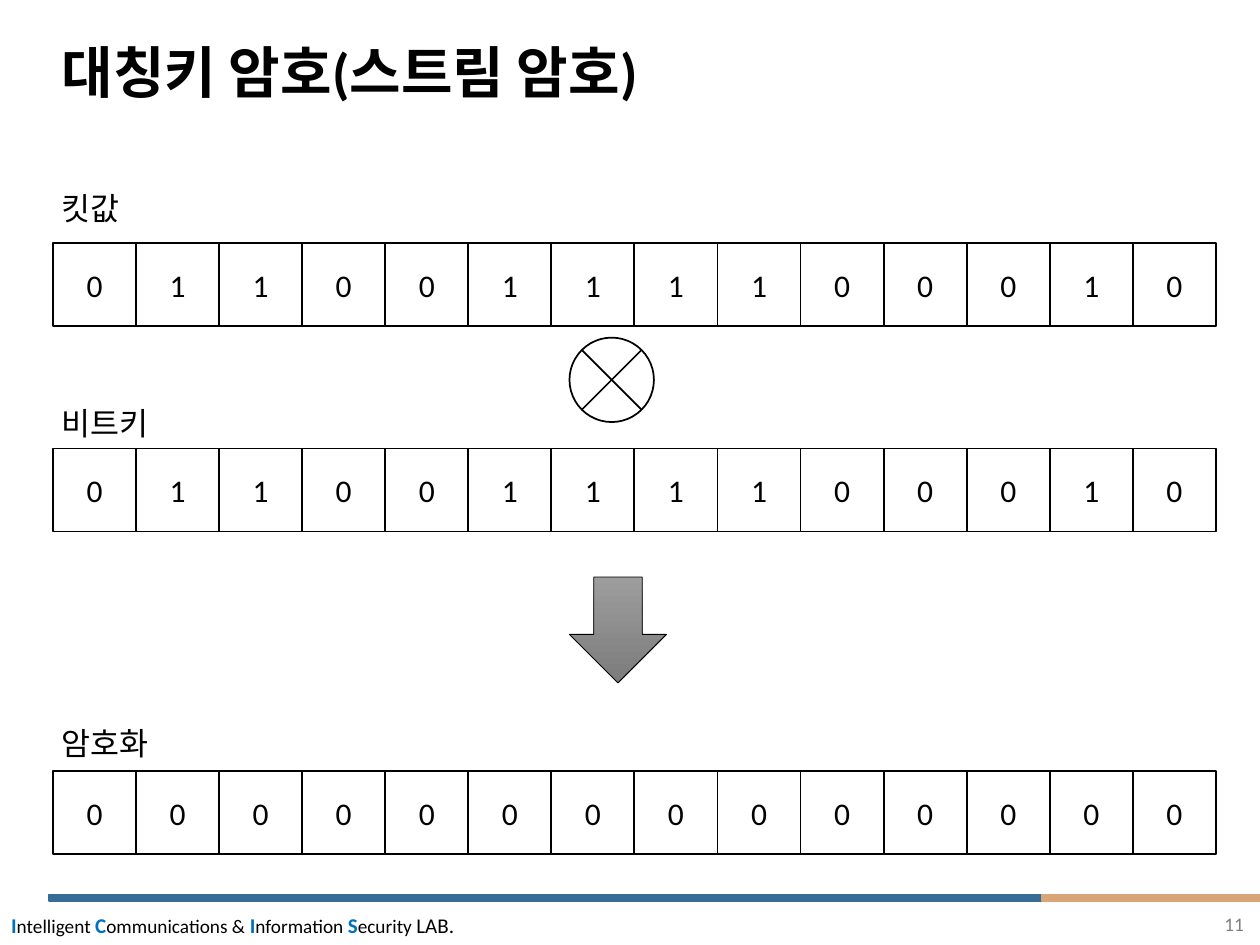
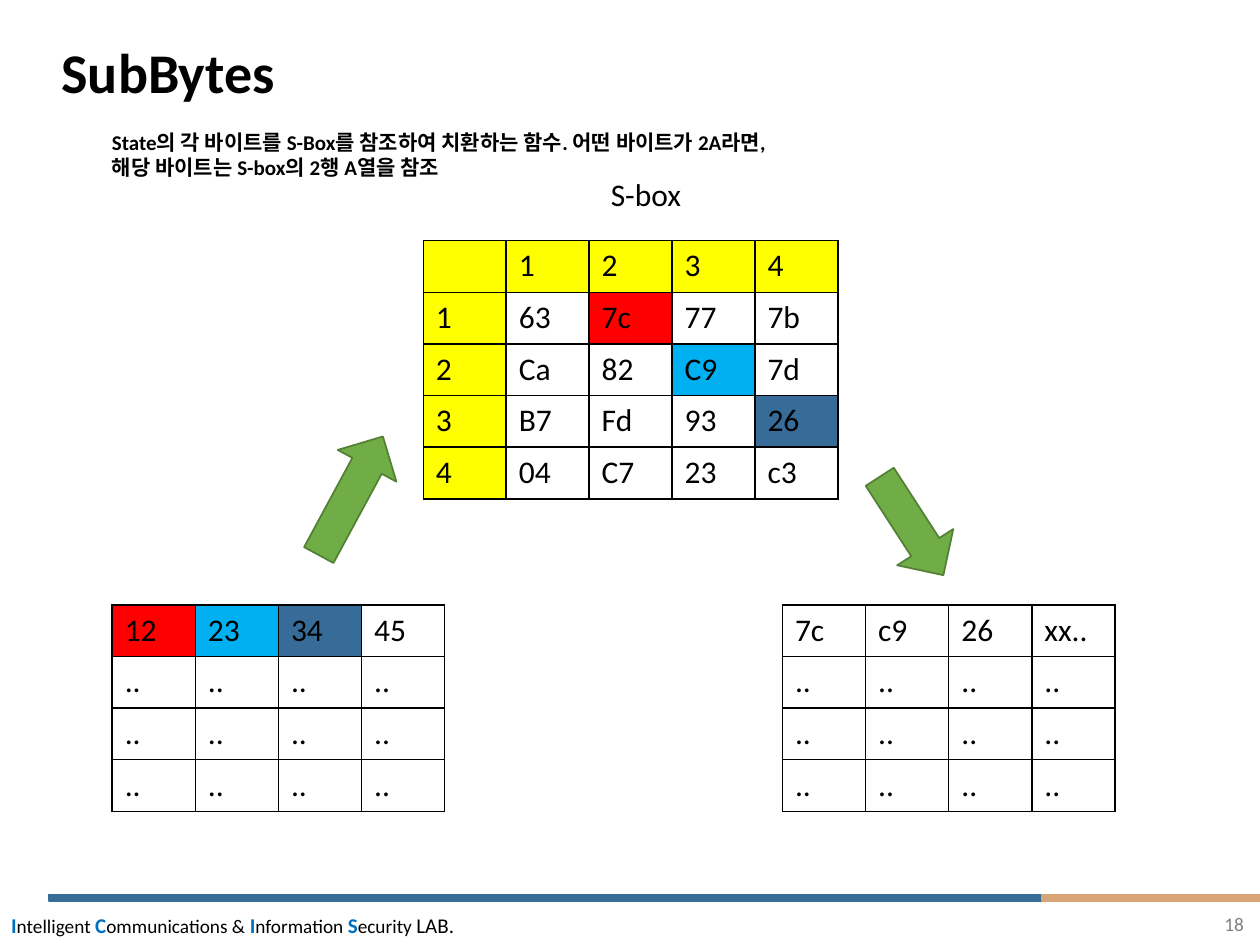
from lxml.etree import SubElement
from pptx import Presentation
from pptx.dml.color import RGBColor
from pptx.enum.shapes import MSO_SHAPE
from pptx.enum.text import MSO_ANCHOR, MSO_AUTO_SIZE, PP_ALIGN
from pptx.oxml.ns import qn
from pptx.util import Inches, Pt

COLORS = {
    "black": "000000", "white": "FFFFFF", "gray": "808080",
    "navy": "376C98", "tan": "D9A576", "initial": "0070C0",
    "yellow": "FFFF00", "red": "FF0000", "sky": "00B0F0",
    "green": "70AD47", "dark_green": "538035",
    "arrow_top": "9D9D9D", "arrow_bottom": "7C7C7C",
}
FONT = "Calibri"


def write(frame, text, size=18, color="black", bold=False, align=None,
          anchor=None, wrap=True, spacing=None, new_paragraph=False):
    frame.word_wrap = wrap
    if not wrap:
        frame.auto_size = MSO_AUTO_SIZE.SHAPE_TO_FIT_TEXT
    if anchor is not None:
        frame.vertical_anchor = anchor
    paragraph = frame.add_paragraph() if new_paragraph else frame.paragraphs[0]
    if align is not None:
        paragraph.alignment = align
    if spacing is not None:
        paragraph.line_spacing = spacing
    run = paragraph.add_run()
    run.text = text
    run.font.name = FONT
    run.font.size = Pt(size)
    run.font.bold = bold
    run.font.color.rgb = RGBColor.from_string(COLORS[color])


def draw(slide, kind, box, fill, line, width=1, rotation=0):
    shape = slide.shapes.add_shape(kind, *map(Inches, box))
    shape.shadow.inherit = False
    shape.fill.solid()
    shape.fill.fore_color.rgb = RGBColor.from_string(COLORS[fill])
    shape.line.color.rgb = RGBColor.from_string(COLORS[line])
    shape.line.width = Pt(width)
    shape.rotation = rotation
    return shape


deck = Presentation()
deck.slide_width, deck.slide_height = Inches(10), Inches(7.5)

lab_words = [("I", "ntelligent "), ("C", "ommunications & "),
             ("I", "nformation "), ("S", "ecurity ")]
pages = []
for heading, number in [("대칭키 암호(스트림 암호)", "11"), ("SubBytes", "18")]:
    page = deck.slides.add_slide(deck.slide_layouts[6])
    pages.append(page)
    for left, width, color in [(0.39, 7.93, "navy"), (8.27, 1.73, "tan")]:
        draw(page, MSO_SHAPE.RECTANGLE, (left, 7.1, width, 0.05), color, color)

    lab = page.shapes.add_textbox(*map(Inches, (-0.01, 7.19, 3.74, 0.3))).text_frame
    for initial, rest in lab_words:
        write(lab, initial, size=12, color="initial", bold=True, wrap=False)
        write(lab, rest, size=11, wrap=False)
    write(lab, "LAB.", size=12, wrap=False)

    title = page.shapes.add_textbox(*map(Inches, (0.39, 0.2, 9.21, 0.79))).text_frame
    write(title, heading, size=32, bold=True, anchor=MSO_ANCHOR.MIDDLE, spacing=0.9)
    page_number = page.shapes.add_textbox(*map(Inches, (7.72, 7.19, 2.25, 0.4))).text_frame
    write(page_number, number, size=11, color="gray", align=PP_ALIGN.RIGHT)

stream, sub_bytes = pages

key_bits = "01100111100010"
bit_size = 9.23 / len(key_bits)
bit_rows = [
    ("킷값", 1.45, 0.71, 1.93, key_bits),
    ("비트키", 3.16, 0.96, 3.56, key_bits),
    ("암호화", 5.7, 0.96, 6.12, "0" * len(key_bits)),
]
for caption, caption_top, caption_width, top, bits in bit_rows:
    caption_box = (0.39, caption_top, caption_width, 0.4)
    write(stream.shapes.add_textbox(*map(Inches, caption_box)).text_frame,
          caption, wrap=False)
    for index, bit in enumerate(bits):
        bit_box = (0.42 + index * bit_size, top, bit_size, bit_size)
        cell = draw(stream, MSO_SHAPE.RECTANGLE, bit_box, "white", "black")
        write(cell.text_frame, bit, align=PP_ALIGN.CENTER, anchor=MSO_ANCHOR.MIDDLE)

draw(stream, MSO_SHAPE.FLOWCHART_SUMMING_JUNCTION, (4.52, 2.68, 0.67, 0.67),
     "white", "black")
encrypt = draw(stream, MSO_SHAPE.DOWN_ARROW, (4.52, 4.58, 0.77, 0.84),
               "gray", "black", width=0.5)
encrypt.fill.gradient()
encrypt.fill.gradient_angle = 270
for stop, color in zip(encrypt.fill.gradient_stops, ("arrow_top", "arrow_bottom")):
    stop.color.rgb = RGBColor.from_string(COLORS[color])

summary = sub_bytes.shapes.add_textbox(*map(Inches, (0.79, 0.98, 5.78, 0.5))).text_frame
write(summary, "State의 각 바이트를 S-Box를 참조하여 치환하는 함수. 어떤 바이트가 2A라면,",
      size=12, bold=True, wrap=False)
write(summary, "해당 바이트는 S-box의 2행 A열을 참조",
      size=12, bold=True, wrap=False, new_paragraph=True)
write(sub_bytes.shapes.add_textbox(*map(Inches, (4.75, 1.34, 0.77, 0.4))).text_frame,
      "S-box", wrap=False)

s_box = [["", "1", "2", "3", "4"],
         ["1", "63", "7c", "77", "7b"],
         ["2", "Ca", "82", "C9", "7d"],
         ["3", "B7", "Fd", "93", "26"],
         ["4", "04", "C7", "23", "c3"]]
s_box_fills = {(i, j): "yellow" for i in range(5) for j in range(5) if 0 in (i, j)}
s_box_fills.update({(1, 2): "red", (2, 3): "sky", (3, 4): "navy"})
unknown = [[".."] * 4] * 3
state = [["12", "23", "34", "45"]] + unknown
state_fills = {(0, 0): "red", (0, 1): "sky", (0, 2): "navy"}
substituted = [["7c", "c9", "26", "xx.."]] + unknown

for left, top, width, values, fills in [
    (3.36, 1.91, 3.29, s_box, s_box_fills),
    (0.89, 4.8, 2.64, state, state_fills),
    (6.21, 4.8, 2.64, substituted, {}),
]:
    count = len(values)
    grid = sub_bytes.shapes.add_table(
        count, count, Inches(left), Inches(top),
        Inches(width), Inches(0.41 * count)).table
    grid.first_row = grid.horz_banding = False
    for i, row in enumerate(values):
        for j, value in enumerate(row):
            cell = grid.cell(i, j)
            properties = cell._tc.get_or_add_tcPr()
            for side in ("lnL", "lnR", "lnT", "lnB"):
                border = SubElement(properties, qn(f"a:{side}"), w=str(Pt(1)))
                solid = SubElement(border, qn("a:solidFill"))
                SubElement(solid, qn("a:srgbClr"), val=COLORS["black"])
            cell.fill.solid()
            cell.fill.fore_color.rgb = RGBColor.from_string(
                COLORS[fills.get((i, j), "white")])
            if value:
                write(cell.text_frame, value)

for kind, box, rotation in [
    (MSO_SHAPE.UP_ARROW, (2.52, 3.4, 0.53, 1.07), 28.4),
    (MSO_SHAPE.DOWN_ARROW, (6.97, 3.71, 0.53, 0.93), 327.1),
]:
    draw(sub_bytes, kind, box, "green", "dark_green", rotation=rotation)

deck.save("out.pptx")
